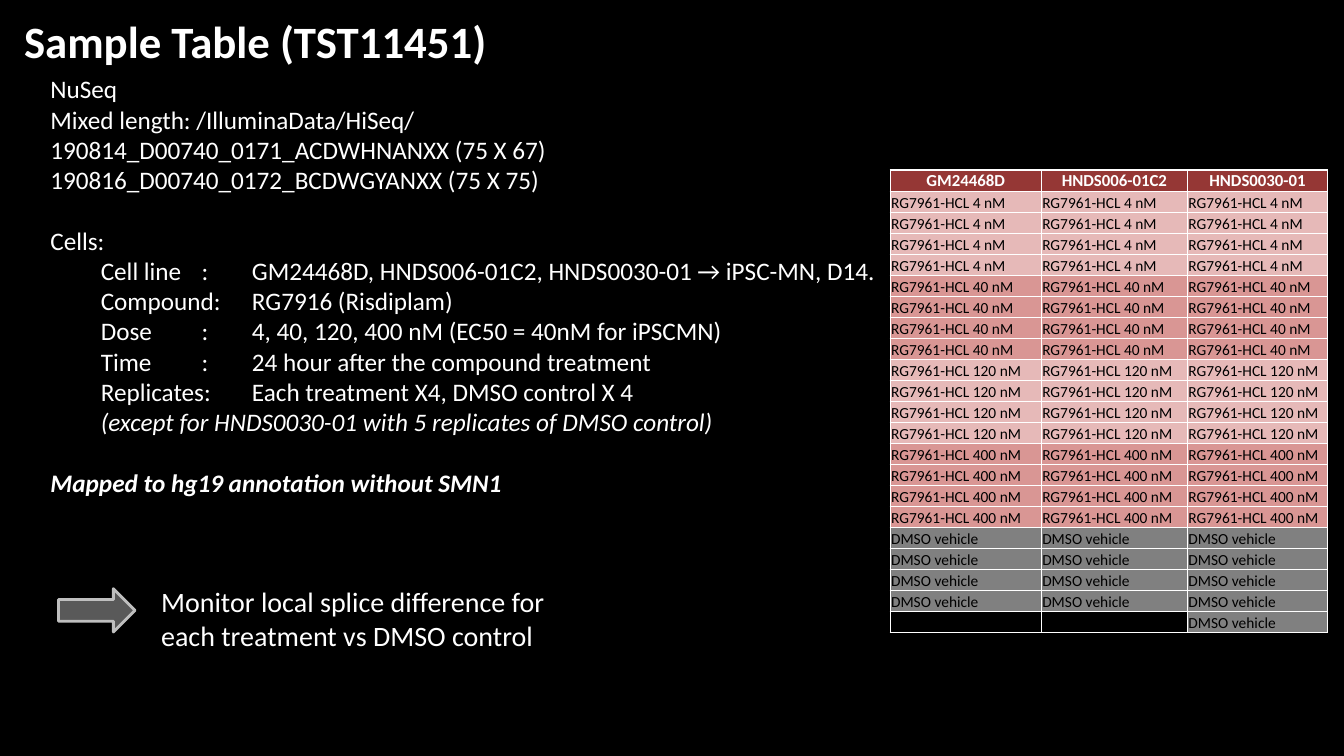
"""Build the sample table slide for the TST11451 sequencing run."""
from lxml.etree import SubElement
from pptx import Presentation
from pptx.dml.color import RGBColor
from pptx.enum.shapes import MSO_SHAPE as Shape
from pptx.enum.text import MSO_ANCHOR as Anchor, MSO_AUTO_SIZE as AutoSize, PP_ALIGN as Align
from pptx.oxml.ns import qn
from pptx.util import Pt

FONT = "Calibri"
WHITE, BLACK = "FFFFFF", "000000"
HEADER_RED, PINK, ROSE, GRAY = "953735", "E6B9B8", "D99694", "808080"
ARROW_FILL, ARROW_LINE = "595959", "BFBFBF"

TITLE = "Sample Table (TST11451)"
LABEL, COLON, VALUE = 28.5, 101.5, 118.5
BODY_SIZE, GAP = 18, 21.7
BODY = [
    {"text": "NuSeq"},
    {"text": "Mixed length: /IlluminaData/HiSeq/"},
    {"text": "190814_D00740_0171_ACDWHNANXX (75 X 67)"},
    {"text": "190816_D00740_0172_BCDWGYANXX (75 X 75)"},
    {"text": "Cells:", "before": GAP},
    {"text": "\tCell line\t:\tGM24468D, HNDS006-01C2, HNDS0030-01 → iPSC-MN, D14.",
     "tabs": (LABEL, COLON, VALUE)},
    {"text": "\tCompound:\tRG7916 (Risdiplam)", "tabs": (LABEL, 121.5)},
    {"text": "\tDose\t:\t4, 40, 120, 400 nM (EC50 = 40nM for iPSCMN)",
     "tabs": (LABEL, COLON, 126.5)},
    {"text": "\tTime\t:\t24 hour after the compound treatment",
     "tabs": (LABEL, COLON, VALUE - 1)},
    {"text": "\tReplicates:\tEach treatment X4, DMSO control X 4", "tabs": (LABEL, VALUE)},
    {"text": "\t(except for HNDS0030-01 with 5 replicates of DMSO control)",
     "tabs": (109.5,), "italic": True},
    {"text": "Mapped to hg19 annotation without SMN1", "before": GAP,
     "bold": True, "italic": True},
]
GOAL = ["Monitor local splice difference for", "each treatment vs DMSO control"]

CELL_LINES = ["GM24468D", "HNDS006-01C2", "HNDS0030-01"]
TREATMENTS = [("RG7961-HCL 4 nM", PINK), ("RG7961-HCL 40 nM", ROSE),
              ("RG7961-HCL 120 nM", PINK), ("RG7961-HCL 400 nM", ROSE),
              ("DMSO vehicle", GRAY)]
REPLICATES = 4
COLUMN_WIDTHS = [108, 104.4, 100.1]
ROW_HEIGHT = 15.02


def color(value):
    return RGBColor.from_string(value)


def style(paragraph, size, ink=WHITE, bold=False, italic=False):
    for run in paragraph.runs:
        font = run.font
        font.name, font.size, font.bold, font.italic = FONT, Pt(size), bold, italic
        font.color.rgb = color(ink)


def place(shape, left, top, width, height):
    shape.left, shape.top, shape.width, shape.height = map(Pt, (left, top, width, height))
    shape.text_frame.word_wrap = True
    shape.text_frame.auto_size = AutoSize.NONE


def add_title(slide):
    title = slide.shapes.title
    place(title, 10, 5.8, 709, 46)
    title.text_frame.text = TITLE
    paragraph = title.text_frame.paragraphs[0]
    paragraph.alignment = Align.LEFT
    style(paragraph, 32, bold=True)


def add_body(slide):
    body = slide.placeholders[1]
    place(body, 28.8, 49, 643.7, 312.5)
    frame = body.text_frame
    frame.text = "\n".join(line["text"] for line in BODY)
    for paragraph, line in zip(frame.paragraphs, BODY):
        properties = paragraph._p.get_or_add_pPr()
        properties.set("marL", "0")
        properties.set("indent", "0")
        SubElement(properties, qn("a:buNone"))
        if "tabs" in line:
            stops = SubElement(properties, qn("a:tabLst"))
            for position in line["tabs"]:
                SubElement(stops, qn("a:tab"), pos=str(Pt(position)), algn="l")
        paragraph.space_before = Pt(line.get("before", 0))
        style(paragraph, BODY_SIZE, bold=line.get("bold", False),
              italic=line.get("italic", False))


def add_goal(slide):
    arrow = slide.shapes.add_shape(Shape.RIGHT_ARROW, Pt(41.8), Pt(420.5), Pt(54.7), Pt(31))
    arrow.shadow.inherit = False
    arrow.fill.solid()
    arrow.fill.fore_color.rgb = color(ARROW_FILL)
    arrow.line.color.rgb = color(ARROW_LINE)
    arrow.line.width = Pt(2)
    goal = slide.shapes.add_textbox(0, 0, 0, 0)
    place(goal, 108, 414, 365.8, 55.4)
    goal.text_frame.text = "\n".join(GOAL)
    for paragraph in goal.text_frame.paragraphs:
        style(paragraph, 20)


def fill_cell(cell, text, fill, header):
    properties = cell._tc.get_or_add_tcPr()
    for side in ("L", "R", "T", "B"):
        border = SubElement(properties, qn(f"a:ln{side}"), w=str(Pt(1)))
        SubElement(SubElement(border, qn("a:solidFill")), qn("a:srgbClr"), val=WHITE)
    cell.fill.solid()
    cell.fill.fore_color.rgb = color(fill)
    cell.margin_left = cell.margin_right = cell.margin_top = Pt(0.7)
    cell.margin_bottom = 0
    cell.vertical_anchor = Anchor.BOTTOM
    cell.text_frame.text = text
    paragraph = cell.text_frame.paragraphs[0]
    if header:
        paragraph.alignment = Align.CENTER
        style(paragraph, 12, bold=True)
    elif text:
        style(paragraph, 11, BLACK)
    else:
        SubElement(paragraph._p, qn("a:endParaRPr"), sz="1100")


def add_sample_table(slide):
    rows = [[(name, HEADER_RED) for name in CELL_LINES]]
    for treatment in TREATMENTS:
        rows += [[treatment] * len(CELL_LINES)] * REPLICATES
    rows.append([("", BLACK), ("", BLACK), TREATMENTS[-1]])
    table = slide.shapes.add_table(
        len(rows), len(CELL_LINES), Pt(635.8), Pt(121.4),
        Pt(sum(COLUMN_WIDTHS)), Pt(ROW_HEIGHT * len(rows))).table
    table.first_row = table.horz_banding = False
    for column, width in zip(table.columns, COLUMN_WIDTHS):
        column.width = Pt(width)
    for row_index, row in enumerate(rows):
        table.rows[row_index].height = Pt(ROW_HEIGHT)
        for column_index, (text, fill) in enumerate(row):
            fill_cell(table.cell(row_index, column_index), text, fill, row_index == 0)


def main():
    presentation = Presentation()
    presentation.slide_width, presentation.slide_height = Pt(960), Pt(540)
    slide = presentation.slides.add_slide(presentation.slide_layouts[1])
    slide.background.fill.solid()
    slide.background.fill.fore_color.rgb = color(BLACK)
    add_title(slide)
    add_body(slide)
    add_goal(slide)
    add_sample_table(slide)
    presentation.save("out.pptx")


if __name__ == "__main__":
    main()
